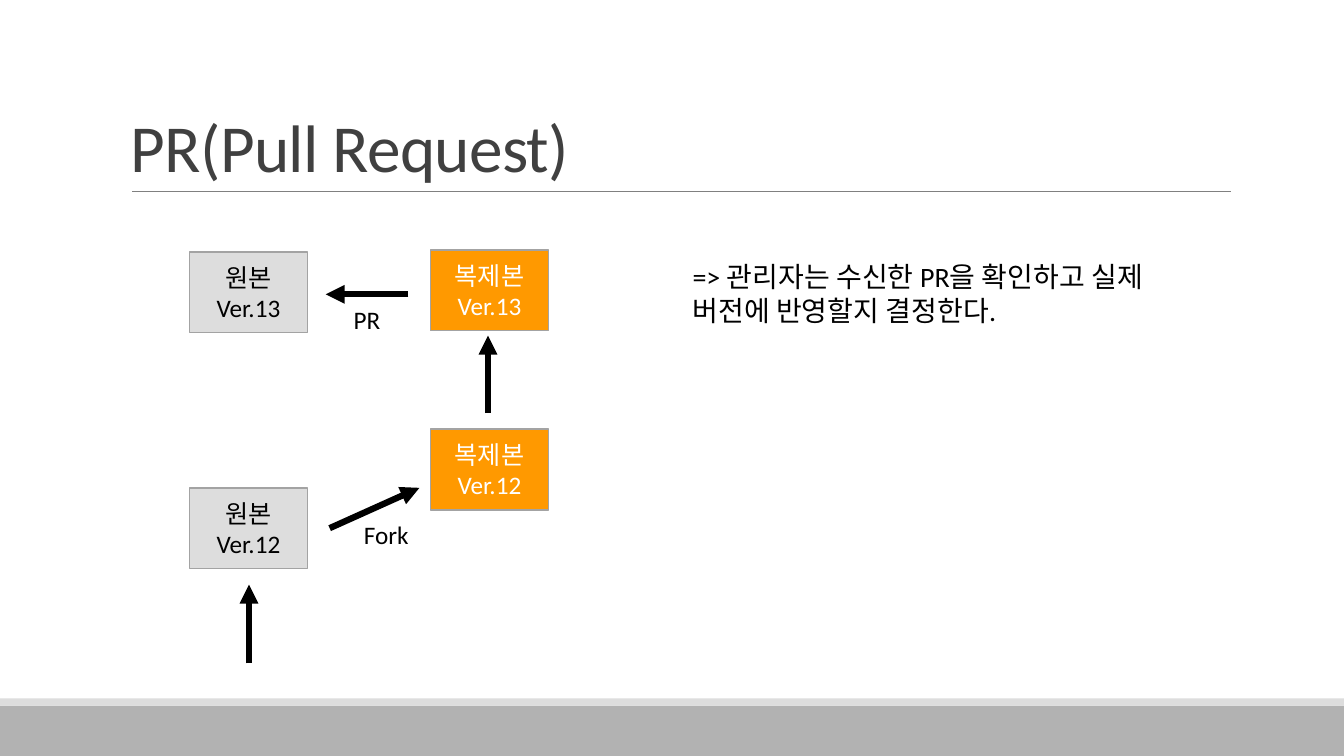
from pptx import Presentation, util as u
from pptx.dml.color import RGBColor
from pptx.enum import shapes, text
from pptx.oxml.ns import qn
from lxml import etree

COLORS = {
    "band": "B2B2B2", "strip": "DDDDDD", "rule": "808080", "title": "404040",
    "source": "DDDDDD", "fork": "FF9900", "outline": "A3A3A3",
    "black": "000000", "white": "FFFFFF",
}
FONT = "Calibri"
BOX_WIDTH, BOX_HEIGHT = 1.17, 0.8


def color(name):
    """Return the named colour."""
    return RGBColor.from_string(COLORS[name])


def format_text(text_frame, size, color_name, alignment=None):
    """Give every run the same font, size and colour."""
    for paragraph in text_frame.paragraphs:
        if alignment is not None:
            paragraph.alignment = alignment
        for run in paragraph.runs:
            run.font.name = FONT
            run.font.size = u.Pt(size)
            run.font.color.rgb = color(color_name)


def add_rectangle(slide, left, top, width, height, fill, outline=None):
    """Add a flat rectangle, outlined only on request."""
    shape = slide.shapes.add_shape(
        shapes.MSO_SHAPE.RECTANGLE,
        *map(u.Inches, (left, top, width, height)))
    shape.shadow.inherit = False
    shape.fill.solid()
    shape.fill.fore_color.rgb = color(fill)
    if outline:
        shape.line.color.rgb = color(outline)
        shape.line.width = u.Pt(1.25)
    else:
        shape.line.fill.background()
    return shape


def add_text(slide, left, top, width, height, words, size,
             color_name="black", wrap=True):
    """Add a text box and return it."""
    box = slide.shapes.add_textbox(
        *map(u.Inches, (left, top, width, height)))
    box.text_frame.word_wrap = wrap
    box.text_frame.text = words
    format_text(box.text_frame, size, color_name)
    return box


def add_line(slide, start, end, color_name, width, arrow=False):
    """Add a straight line, with an arrowhead at its end on request."""
    line = slide.shapes.add_connector(
        shapes.MSO_CONNECTOR.STRAIGHT, *map(u.Inches, (*start, *end)))
    line.line.color.rgb = color(color_name)
    line.line.width = u.Pt(width)
    if arrow:
        outline = line.line._get_or_add_ln()
        etree.SubElement(outline, qn("a:tailEnd"), type="triangle")
    etree.SubElement(line._element.spPr, qn("a:effectLst"))


def add_footer(slide, left, top, width, height):
    """Draw the bottom band with a thin strip along its top edge."""
    strip = 0.07
    add_rectangle(slide, left, top + strip, width, height - strip, "band")
    add_rectangle(slide, left, top, width, strip, "strip")


def add_title(slide, left, top, width, height, words):
    """Write the title above its rule."""
    bottom = top + height
    add_line(slide, (left + 0.11, bottom), (left + width + 0.01, bottom),
             "rule", 0.5)
    title = add_text(slide, left, top, width, height, words, 48, "title")
    title.text_frame.vertical_anchor = text.MSO_ANCHOR.BOTTOM
    paragraph = title.text_frame.paragraphs[0]
    paragraph.line_spacing = 0.85
    paragraph.runs[0].font._element.set("spc", "-50")


def add_version(slide, left, top, name, version, fill, font_color):
    """Draw one repository version box."""
    box = add_rectangle(slide, left, top, BOX_WIDTH, BOX_HEIGHT,
                        fill, "outline")
    box.text_frame.text = f"{name}\nVer.{version}"
    box.text_frame.vertical_anchor = text.MSO_ANCHOR.MIDDLE
    format_text(box.text_frame, 18, font_color, text.PP_ALIGN.CENTER)


def add_flow(slide, left, top):
    """Draw the fork and pull request flow from its top left corner."""
    fork_left = left + 2.39
    for version, source_top, fork_top in ((12, 2.36, 1.78), (13, 0.02, 0)):
        add_version(slide, left, top + source_top, "원본", version,
                    "source", "black")
        add_version(slide, fork_left, top + fork_top, "복제본", version,
                    "fork", "white")

    arrows = (
        ((0.59, 4.1), (0.59, 3.32)),
        ((1.39, 2.76), (2.28, 2.36)),
        ((2.96, 1.62), (2.96, 0.85)),
        ((2.17, 0.44), (1.35, 0.44)),
    )
    for arrow in arrows:
        start, end = ((left + x, top + y) for x, y in arrow)
        add_line(slide, start, end, "black", 4.5, arrow=True)

    for words, x, y, width in (("Fork", 1.63, 2.62, 0.65),
                               ("PR", 1.53, 0.49, 0.47)):
        add_text(slide, left + x, top + y, width, 0.4, words, 18, wrap=False)


def main():
    """Build and save the slide."""
    presentation = Presentation()
    presentation.slide_width = u.Inches(13.33)
    presentation.slide_height = u.Inches(7.5)
    slide = presentation.slides.add_slide(presentation.slide_layouts[6])
    add_footer(slide, 0, 6.93, 13.33, 0.57)
    add_title(slide, 1.2, 0.31, 11, 1.59, "PR(Pull Request)")
    add_text(slide, 6.77, 2.53, 4.68, 0.77,
             "=> 관리자는 수신한 PR을 확인하고 실제 버전에 반영할지 결정한다.", 20)
    add_flow(slide, 1.88, 2.48)
    presentation.save("out.pptx")


main()
